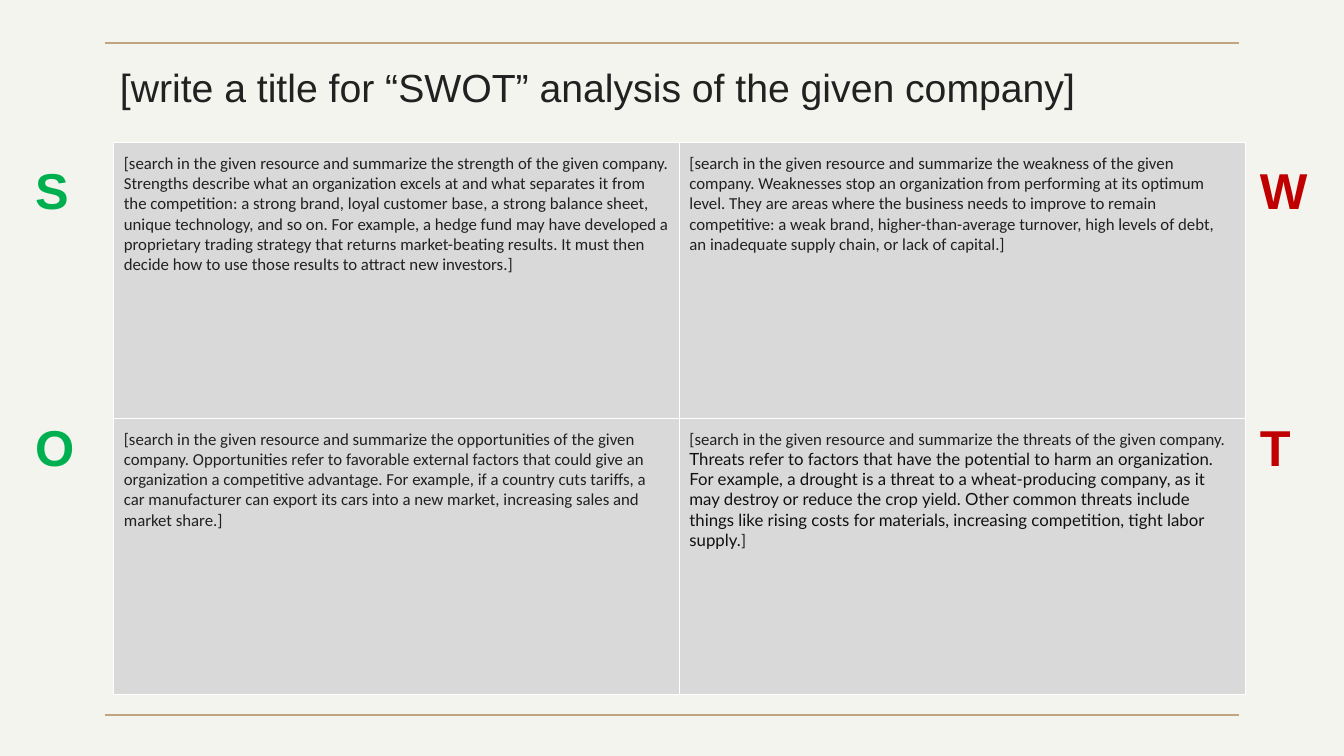
from dataclasses import dataclass

from lxml import etree
from pptx import Presentation
from pptx.dml.color import RGBColor
from pptx.enum.shapes import MSO_CONNECTOR, MSO_SHAPE
from pptx.enum.text import MSO_ANCHOR, PP_ALIGN
from pptx.oxml.ns import qn
from pptx.shapes.autoshape import Shape
from pptx.slide import Slide
from pptx.util import Pt

STRAIGHT = MSO_CONNECTOR.STRAIGHT
RECTANGLE = MSO_SHAPE.RECTANGLE
TOP = MSO_ANCHOR.TOP
MIDDLE = MSO_ANCHOR.MIDDLE
LEFT = PP_ALIGN.LEFT

PAPER = "F3F4ED"
RULE = "C1A480"
INK = "212121"
DARK_INK = "111111"
PANEL = "D9D9D9"
WHITE = "FFFFFF"
GREEN = "00B050"
RED = "C00000"

GRID_LEFT, GRID_TOP = 81.4, 102
CELL_WIDTH, CELL_HEIGHT = 404, 197
LETTER_TOP, LETTER_STEP, LETTER_HEIGHT = 110.2, 183.6, 51
LETTER_LEFTS = (18, 892.8)


@dataclass(frozen=True)
class Span:
    text: str
    font: str = "Calibri"
    color: str = INK


@dataclass(frozen=True)
class Quadrant:
    letter: str
    letter_width: float
    letter_color: str
    column: int
    row: int
    spans: tuple[Span, ...]


QUADRANTS = (
    Quadrant("S", 38.9, GREEN, 0, 0, (Span(
        "[search in the given resource and summarize the strength of the given company. "
        "Strengths describe what an organization excels at and what separates it from the "
        "competition: a strong brand, loyal customer base, a strong balance sheet, unique "
        "technology, and so on. For example, a hedge fund may have developed a proprietary "
        "trading strategy that returns market-beating results. It must then decide how to "
        "use those results to attract new investors.]"),)),
    Quadrant("O", 42.5, GREEN, 0, 1, (Span(
        "[search in the given resource and summarize the opportunities of the given company. "
        "Opportunities refer to favorable external factors that could give an organization a "
        "competitive advantage. For example, if a country cuts tariffs, a car manufacturer "
        "can export its cars into a new market, increasing sales and market share.]"),)),
    Quadrant("W", 49, RED, 1, 0, (Span(
        "[search in the given resource and summarize the weakness of the given company. "
        "Weaknesses stop an organization from performing at its optimum level. They are areas "
        "where the business needs to improve to remain competitive: a weak brand, "
        "higher-than-average turnover, high levels of debt, an inadequate supply chain, or "
        "lack of capital.]"),)),
    Quadrant("T", 36.7, RED, 1, 1, (
        Span("[search in the given resource and summarize the threats of the given company. "),
        Span("Threats refer to factors that have the potential to harm an organization. For "
             "example, a drought is a threat to a wheat-producing company, as it may destroy "
             "or reduce the crop yield. Other common threats include things like rising costs "
             "for materials, increasing competition, tight labor supply.", "Lato", DARK_INK),
        Span("]"))),
)


def rgb(value: str) -> RGBColor:
    return RGBColor.from_string(value)


def write(box: Shape, *spans: Span, size: float, bold: bool = False, inset: float = 7.2,
          inset_y: float = 7.2, wrap: bool = True, anchor: MSO_ANCHOR = TOP) -> None:
    frame = box.text_frame
    frame.word_wrap = wrap
    frame.vertical_anchor = anchor
    frame.margin_left = frame.margin_right = Pt(inset)
    frame.margin_top = frame.margin_bottom = Pt(inset_y)
    para = frame.paragraphs[0]
    para.alignment = LEFT
    for span in spans:
        run = para.add_run()
        run.text = span.text
        run.font.name = span.font
        run.font.size = Pt(size)
        run.font.bold = bold
        run.font.color.rgb = rgb(span.color)


def draw_rule(page: Slide, y: float) -> None:
    rule = page.shapes.add_connector(STRAIGHT, Pt(75), Pt(y), Pt(885), Pt(y))
    rule.line.color.rgb = rgb(RULE)
    rule.line.width = Pt(1.5)
    etree.SubElement(rule._element.spPr, qn("a:effectLst"))


def draw_title(page: Slide, text: str) -> None:
    box = page.shapes.add_textbox(Pt(76.3), Pt(36.9), Pt(799), Pt(50.4))
    write(box, Span(text, "Arial"), size=28, inset=9.36, inset_y=9.36, anchor=MIDDLE)


def draw_letter(page: Slide, quadrant: Quadrant) -> None:
    box = page.shapes.add_textbox(
        Pt(LETTER_LEFTS[quadrant.column]), Pt(LETTER_TOP + quadrant.row * LETTER_STEP),
        Pt(quadrant.letter_width), Pt(LETTER_HEIGHT))
    write(box, Span(quadrant.letter, "Arial", quadrant.letter_color),
          size=36, bold=True, inset_y=3.6, wrap=False)


def draw_panel(page: Slide, quadrant: Quadrant) -> None:
    panel = page.shapes.add_shape(
        RECTANGLE, Pt(GRID_LEFT + quadrant.column * CELL_WIDTH),
        Pt(GRID_TOP + quadrant.row * CELL_HEIGHT), Pt(CELL_WIDTH), Pt(CELL_HEIGHT))
    panel.shadow.inherit = False
    panel.fill.solid()
    panel.fill.fore_color.rgb = rgb(PANEL)
    panel.line.color.rgb = rgb(WHITE)
    panel.line.width = Pt(0.75)
    write(panel, *quadrant.spans, size=12)


def main() -> None:
    deck = Presentation()
    deck.slide_width, deck.slide_height = Pt(960), Pt(540)
    page = deck.slides.add_slide(deck.slide_layouts[6])
    page.background.fill.solid()
    page.background.fill.fore_color.rgb = rgb(PAPER)
    for y in (30.7, 510.7):
        draw_rule(page, y)
    draw_title(page, "[write a title for “SWOT” analysis of the given company]")
    for quadrant in QUADRANTS:
        draw_letter(page, quadrant)
    for quadrant in QUADRANTS:
        draw_panel(page, quadrant)
    deck.save("out.pptx")


if __name__ == "__main__":
    main()
